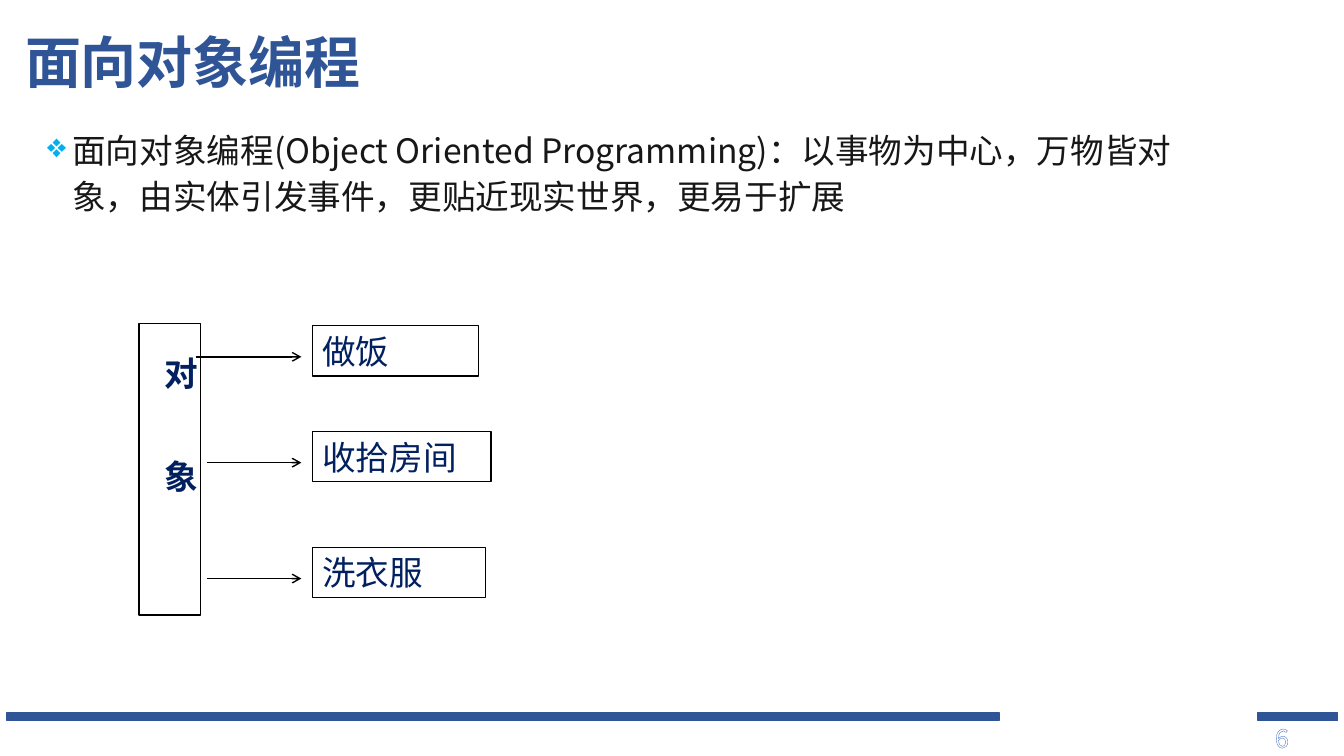
from lxml import etree
from pptx import Presentation
from pptx.dml.color import RGBColor
from pptx.enum.dml import MSO_PATTERN as Pattern
from pptx.enum.shapes import MSO_CONNECTOR as Link, MSO_SHAPE as Shape
from pptx.enum.text import MSO_ANCHOR as Anchor, PP_ALIGN as Align
from pptx.oxml.ns import qn
from pptx.util import Inches, Pt

FONT = "Noto Sans CJK SC"
COLORS = {"blue": "2F5597", "navy": "002060", "ink": "181717", "bullet": "00B0F0",
          "black": "000000", "white": "FFFFFF", "pale": "8FAADC", "outline": "4472C4"}
WIDTH, HEIGHT = 13.33, 7.5
COLUMNS, ROWS = 160, 90


def rgb(name):
    return RGBColor.from_string(COLORS[name])


def add_xml(parent, tag, **attributes):
    return etree.SubElement(parent, qn(tag), attributes)


class Sketch:
    """Draws on one slide; lengths are columns and rows of the grid."""

    def __init__(self, slide):
        self.slide = slide

    def place(self, column, row):
        return Inches(column * WIDTH / COLUMNS), Inches(row * HEIGHT / ROWS)

    def add_text(self, paragraph, text, size, color, bold=False):
        run = paragraph.add_run()
        run.text = text
        font = run.font
        font.size, font.bold, font.name = Pt(size), bold, FONT
        font.color.rgb = rgb(color)
        add_xml(run._r.get_or_add_rPr(), "a:ea", typeface=FONT)
        return run

    def text_box(self, column, row, columns, rows, anchor=Anchor.TOP):
        box = self.slide.shapes.add_textbox(*self.place(column, row),
                                            *self.place(columns, rows))
        frame = box.text_frame
        frame.word_wrap, frame.vertical_anchor = True, anchor
        return frame.paragraphs[0]

    def rectangle(self, column, row, columns, rows, fill="white", line="black"):
        box = self.slide.shapes.add_shape(Shape.RECTANGLE, *self.place(column, row),
                                          *self.place(columns, rows))
        box.shadow.inherit = False
        box.fill.solid()
        box.fill.fore_color.rgb = rgb(fill)
        box.line.color.rgb = rgb(line)
        box.line.width = Pt(1)
        frame = box.text_frame
        frame.margin_top = frame.margin_bottom = 0
        frame.paragraphs[0].alignment = Align.LEFT
        return frame

    def arrow(self, start, end, row):
        arrow = self.slide.shapes.add_connector(Link.STRAIGHT, *self.place(start, row),
                                                *self.place(end, row))
        arrow.line.color.rgb = rgb("black")
        arrow.line.width = Pt(1)
        add_xml(arrow.get_or_add_ln(), "a:tailEnd", type="arrow")
        add_xml(arrow._element.spPr, "a:effectLst")

    def bullet(self, paragraph, mark, color, indent):
        props = paragraph._p.get_or_add_pPr()
        props.set("marL", str(Inches(indent)))
        props.set("indent", str(-Inches(indent)))
        add_xml(add_xml(props, "a:buClr"), "a:srgbClr", val=COLORS[color])
        add_xml(props, "a:buChar", char=mark)


def main():
    deck = Presentation()
    deck.slide_width, deck.slide_height = Inches(WIDTH), Inches(HEIGHT)
    sketch = Sketch(deck.slides.add_slide(deck.slide_layouts[6]))

    # Footer bars and page number
    for column, columns in ((0.84, 118.08), (149.76, 9.48)):
        sketch.rectangle(column, 84.84, columns, 0.96, "blue", "blue")
    page = sketch.add_text(sketch.text_box(150.6, 85.44, 8.64, 4.8), "6", 18, "pale")
    page.font.fill.patterned()
    page.font.fill.pattern = Pattern.LIGHT_DOWNWARD_DIAGONAL
    page.font.fill.fore_color.rgb = rgb("pale")
    page.font.fill.back_color.rgb = rgb("white")
    outline = etree.Element(qn("a:ln"), w=str(Pt(1)))
    add_xml(add_xml(outline, "a:solidFill"), "a:srgbClr", val=COLORS["outline"])
    page._r.get_or_add_rPr().insert(0, outline)

    # Title
    title = sketch.text_box(1.8, 0.24, 144, 15, Anchor.MIDDLE)
    title.line_spacing = 0.9
    sketch.add_text(title, "面向对象编程", 40, "blue", bold=True)

    # Definition
    definition = sketch.text_box(4.44, 14.16, 138.84, 13.92)
    definition.line_spacing = Pt(33)
    sketch.bullet(definition, "❖", "bullet", 0.25)
    sketch.add_text(definition, "面向对象编程(Object Oriented Programming)：以事物为中心，万物皆对象，"
                    "由实体引发事件，更贴近现实世界，更易于扩展", 24, "ink")

    # The object, set downwards with its two characters spread apart
    entity = sketch.rectangle(16.56, 38.52, 7.32, 34.68)
    entity._txBody.bodyPr.set("vert", "eaVert")
    entity.vertical_anchor = Anchor.TOP
    entity.margin_left = entity.margin_right = 0
    word = entity.paragraphs[0]
    word._p.get_or_add_pPr().set("marL", str(Inches(0.33)))
    first = sketch.add_text(word, "对", 24, "navy", bold=True)
    first._r.get_or_add_rPr().set("spc", "4960")
    sketch.add_text(word, "象", 24, "navy", bold=True)

    # Its actions, each with an arrow
    for action, row, columns, start in (("做饭", 38.76, 19.8, 23.28),
                                        ("收拾房间", 51.36, 21.24, 24.6),
                                        ("洗衣服", 65.16, 20.64, 24.6)):
        label = sketch.rectangle(37.2, row, columns, 6)
        sketch.add_text(label.paragraphs[0], action, 24, "navy")
        sketch.arrow(start, 35.88, row + 3.72)

    deck.save("out.pptx")


if __name__ == "__main__":
    main()
